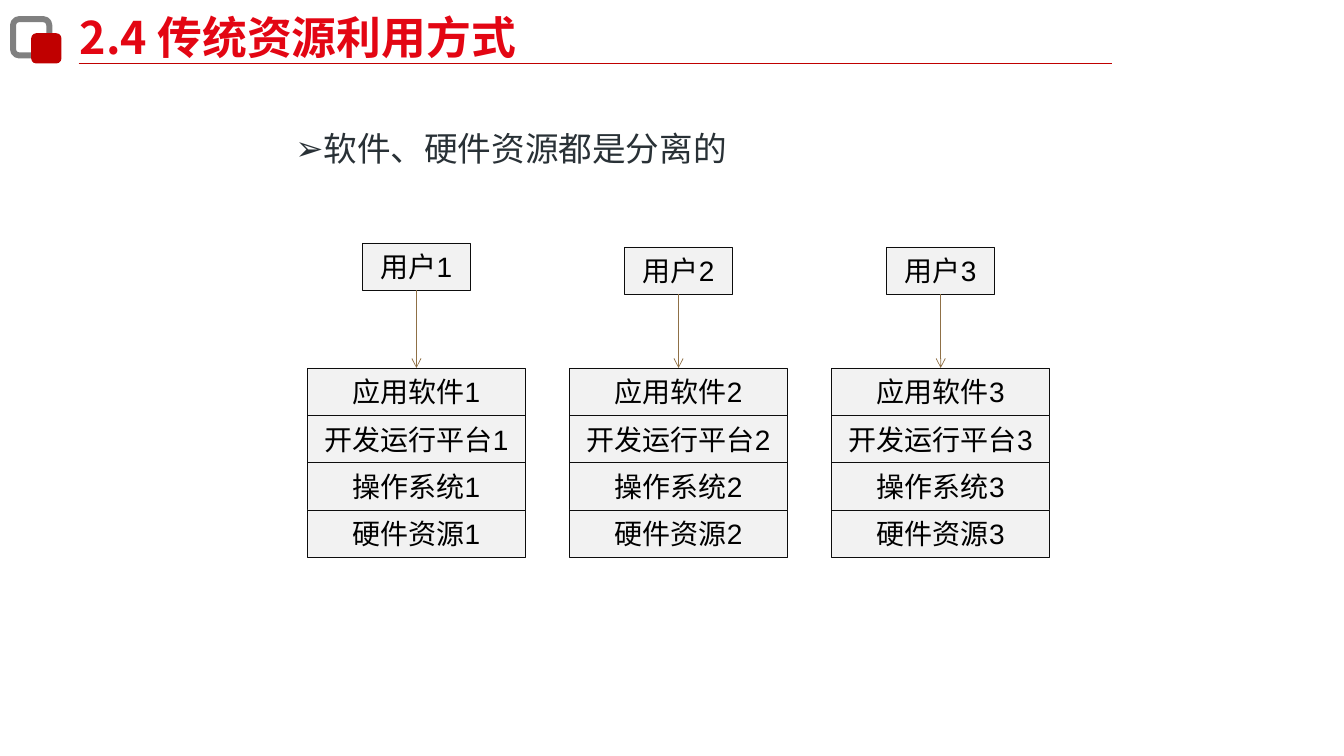
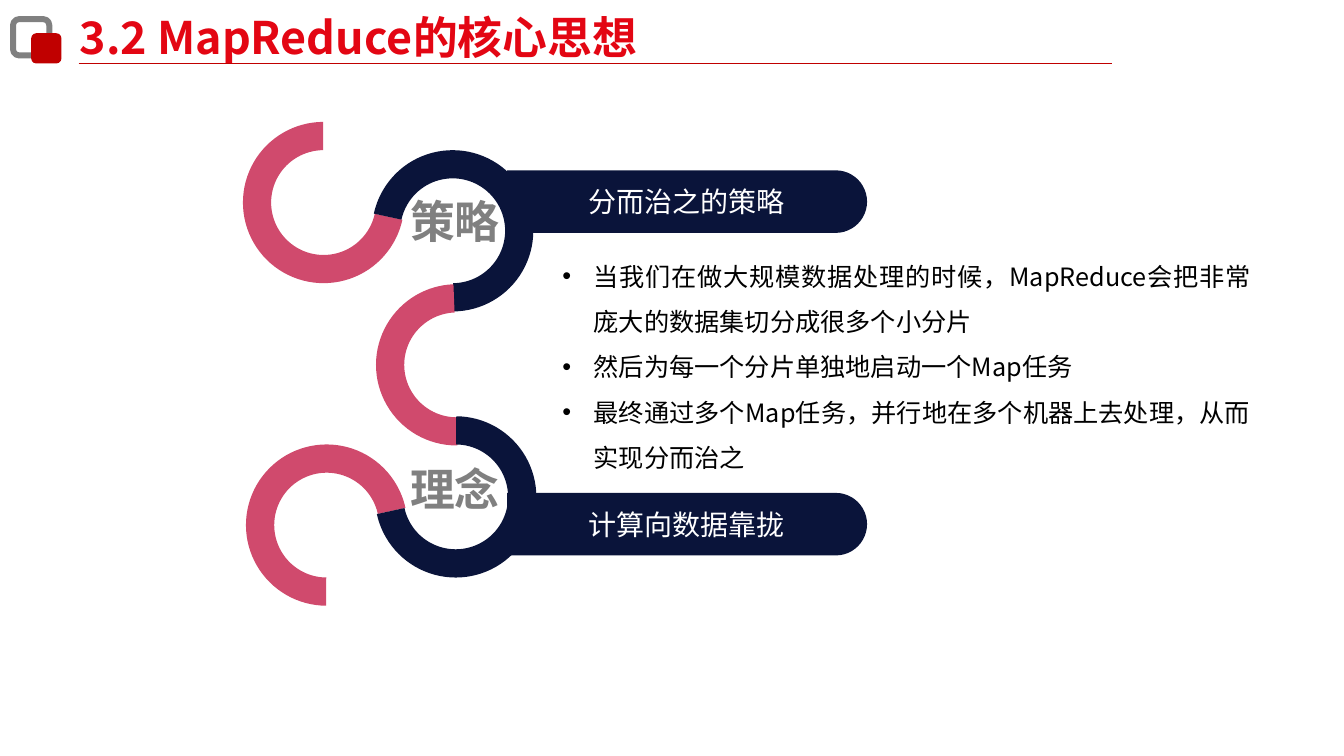
from math import cos, pi, sin
from lxml import etree
from pptx import Presentation
from pptx.dml.color import RGBColor
from pptx.enum.shapes import MSO_CONNECTOR as Line, MSO_SHAPE as Form
from pptx.enum.text import MSO_ANCHOR as Anchor, MSO_AUTO_SIZE as Fit, PP_ALIGN as Align
from pptx.oxml.ns import qn
from pptx.util import Inches, Pt

# Content
TITLES = ("2.4 传统资源利用方式", "3.2 MapReduce的核心思想")
POINT = "软件、硬件资源都是分离的"
LAYERS = ("应用软件", "开发运行平台", "操作系统", "硬件资源")
USER_TOPS = (2.41, 2.45, 2.45)
# heading, heading top, label, label top, pill top
THEMES = (
    ("策略", 1.87, "分而治之的策略", 1.78, 1.69),
    ("理念", 4.53, "计算向数据靠拢", 4.99, 4.89),
)
STEPS = (
    "当我们在做大规模数据处理的时候，MapReduce会把非常庞大的数据集切分成很多个小分片",
    "然后为每一个分片单独地启动一个Map任务",
    "最终通过多个Map任务，并行地在多个机器上去处理，从而实现分而治之",
)

# Shared style
SANS, LATIN = "Noto Sans CJK SC", "Arial"
RED, DARK_RED, GREY = "E30613", "C00000", "808080"
NAVY, PINK, WHITE, BLACK = "0A143A", "D04A6D", "FFFFFF", "000000"
SLATE, PALE, EDGE, BROWN = "293136", "F2F2F2", "0D0D0D", "8F7046"

# Arcs: left, top, start and end in degrees clockwise from the right, colour
ARCS = (
    (2.41, 1.21, 12.3, 269.6, PINK),
    (3.69, 1.49, 192.3, 89.6, NAVY),
    (3.73, 2.82, 89.5, 267.7, PINK),
    (2.44, 4.41, 90.4, 347.7, PINK),
    (3.72, 4.13, 270.4, 167.7, NAVY),
)


def rgb(code):
    return RGBColor.from_string(code)


def style(para, size, color, font=SANS, bold=False):
    for run in para.runs:
        face = run.font
        face.size, face.bold, face.name = Pt(size), bold, font
        face.color.rgb = rgb(color)
        east = etree.SubElement(run._r.get_or_add_rPr(), qn("a:ea"))
        east.set("typeface", SANS)


def paint(shape, fill=None, edge=None, width=0.5):
    shape.shadow.inherit = False
    if fill:
        shape.fill.solid()
        shape.fill.fore_color.rgb = rgb(fill)
    else:
        shape.fill.background()
    if edge:
        shape.line.color.rgb = rgb(edge)
        shape.line.width = Pt(width)
    else:
        shape.line.fill.background()
    return shape


def add_form(slide, form, box, fill=None, edge=None, width=0.5):
    shape = slide.shapes.add_shape(form, *map(Inches, box))
    return paint(shape, fill, edge, width)


def add_line(slide, ends, color, arrow=False):
    line = slide.shapes.add_connector(Line.STRAIGHT, *map(Inches, ends))
    line.line.color.rgb = rgb(color)
    line.line.width = Pt(0.5)
    if arrow:
        tail = etree.SubElement(line.line._get_or_add_ln(), qn("a:tailEnd"))
        tail.set("type", "arrow")
    etree.SubElement(line._element.spPr, qn("a:effectLst"))
    return line


def add_text(slide, box, lines, size, color, font=SANS, bold=False, wrap=False):
    shape = slide.shapes.add_textbox(*map(Inches, box))
    frame = shape.text_frame
    frame.text = "\n".join(lines)
    frame.word_wrap = wrap
    frame.auto_size = Fit.SHAPE_TO_FIT_TEXT
    for para in frame.paragraphs:
        style(para, size, color, font, bold)
    return frame


def add_bullet(para, mark, indent):
    props = para._p.get_or_add_pPr()
    props.set("marL", str(Inches(indent)))
    props.set("indent", str(-Inches(indent)))
    font = etree.SubElement(props, qn("a:buFont"))
    font.set("typeface", LATIN)
    etree.SubElement(props, qn("a:buChar")).set("char", mark)


def add_slide(deck, title):
    slide = deck.slides.add_slide(deck.slide_layouts[5])
    add_form(slide, Form.ROUNDED_RECTANGLE, (0.13, 0.19, 0.36, 0.36), None, GREY, 4.25)
    add_form(slide, Form.ROUNDED_RECTANGLE, (0.31, 0.33, 0.3, 0.3), DARK_RED)
    add_line(slide, (0.78, 0.63, 11.03, 0.63), DARK_RED)
    head = slide.shapes.title
    head.left, head.top, head.width, head.height = map(Inches, (0.69, 0.05, 11.23, 0.64))
    frame = head.text_frame
    frame.text = title
    frame.vertical_anchor = Anchor.TOP
    frame.auto_size = Fit.SHAPE_TO_FIT_TEXT
    para = frame.paragraphs[0]
    para.alignment = Align.LEFT
    style(para, 32, RED, bold=True)
    return slide


# Stacks of resources, one per user
def add_cell(slide, box, text):
    cell = add_form(slide, Form.RECTANGLE, box, PALE, EDGE)
    frame = cell.text_frame
    frame.margin_left = frame.margin_right = 0
    frame.vertical_anchor = Anchor.MIDDLE
    frame.text = text
    para = frame.paragraphs[0]
    para.alignment = Align.CENTER
    style(para, 20, BLACK, LATIN)
    return cell


def draw_stacks(slide):
    frame = add_text(slide, (2.83, 1.27, 5.78, 0.43), [POINT], 24, SLATE, LATIN, wrap=True)
    frame.auto_size = Fit.NONE
    para = frame.paragraphs[0]
    para.line_spacing = 0.9
    add_bullet(para, "➢", 0.19)
    wide, slim, high, top = 2.16, 1.07, 0.47, 3.65
    for col, peak in enumerate(USER_TOPS):
        left, num = 3.05 + 2.6 * col, col + 1
        cells = [
            add_cell(slide, (left, top + high * row, wide, high), f"{name}{num}")
            for row, name in enumerate(LAYERS)
        ]
        user = add_cell(slide, (left + (wide - slim) / 2, peak, slim, high), f"用户{num}")
        mid = left + wide / 2
        arrow = add_line(slide, (mid, peak + high, mid, top), BROWN, True)
        arrow.begin_connect(user, 2)
        arrow.end_connect(cells[0], 0)


# Winding path with its two themes
def add_pill(slide, left, top, wide, high):
    rad, steps = high / 2, 24
    hub = left + wide - rad
    turns = [pi * (n / steps - 0.5) for n in range(steps + 1)]
    dots = [(hub + rad * cos(t), top + rad + rad * sin(t)) for t in turns]
    dots.append((left, top + high))
    path = slide.shapes.build_freeform(Inches(left), Inches(top))
    path.add_line_segments([(Inches(x), Inches(y)) for x, y in dots])
    paint(path.convert_to_shape(), NAVY)


def draw_path(slide):
    for *_, top in THEMES:
        add_pill(slide, 5.03, top, 3.57, 0.62)
    for left, top, start, end, color in ARCS:
        arc = add_form(slide, Form.BLOCK_ARC, (left, top, 1.6, 1.6), color)
        # Angles are stored in 60000ths of a degree, scaled by 100000
        for n, value in enumerate((start * 0.6, end * 0.6, 0.175)):
            arc.adjustments[n] = value
    for head, high, label, low, _ in THEMES:
        add_text(slide, (3.97, high, 1.1, 0.64), [head], 32, GREY, bold=True)
        add_text(slide, (5.74, low, 2.17, 0.44), [label], 20, WHITE)
    frame = add_text(slide, (5.48, 2.39, 7.02, 2.37), STEPS, 18, BLACK, wrap=True)
    for para in frame.paragraphs:
        para.alignment = Align.JUSTIFY
        para.line_spacing = 1.5
        add_bullet(para, "•", 0.31)


def main():
    deck = Presentation()
    deck.slide_width, deck.slide_height = Inches(13.33), Inches(7.5)
    for title, draw in zip(TITLES, (draw_stacks, draw_path)):
        draw(add_slide(deck, title))
    deck.save("out.pptx")


if __name__ == "__main__":
    main()
